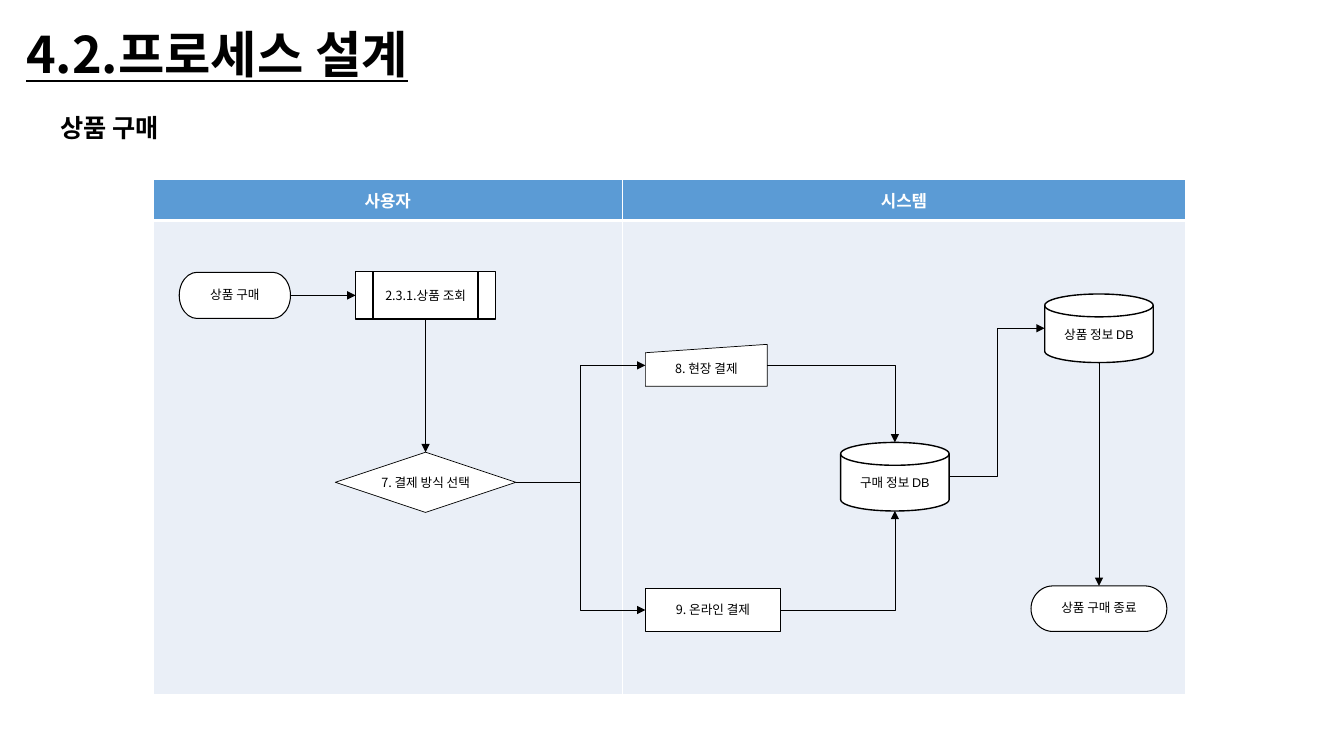
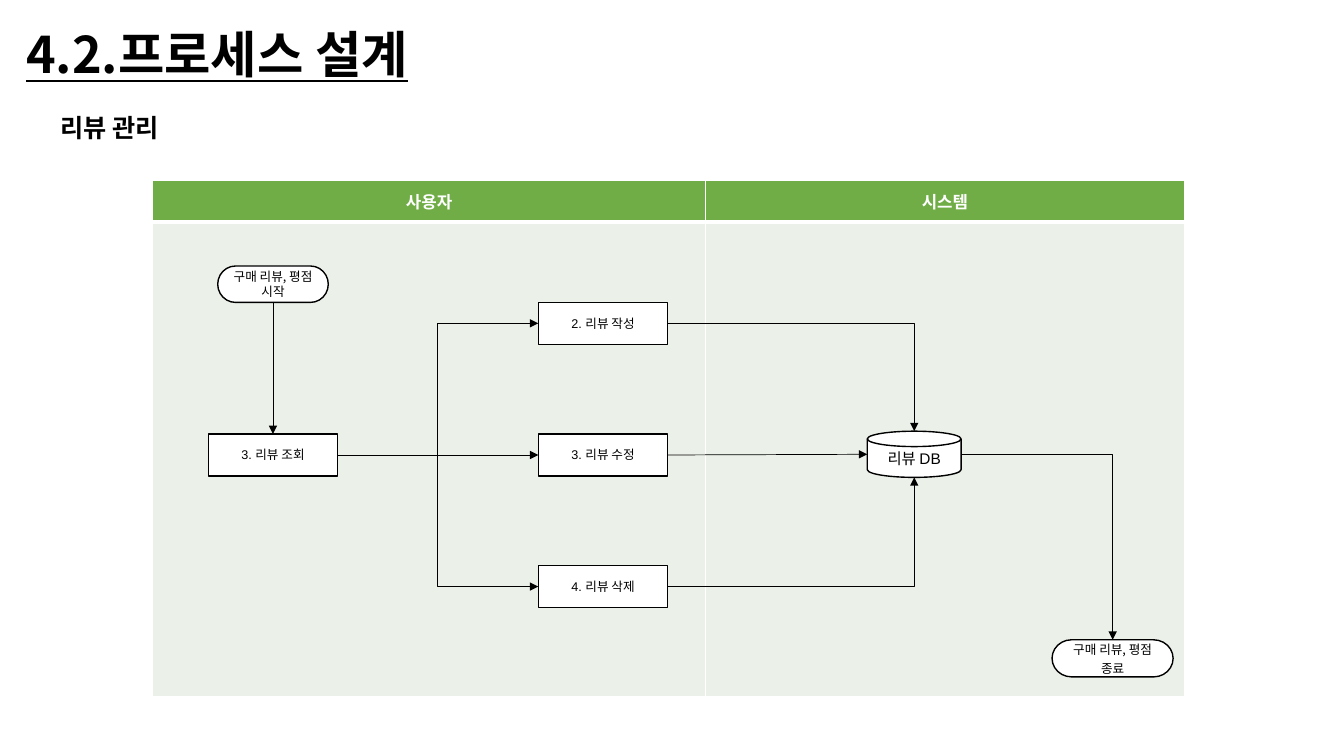
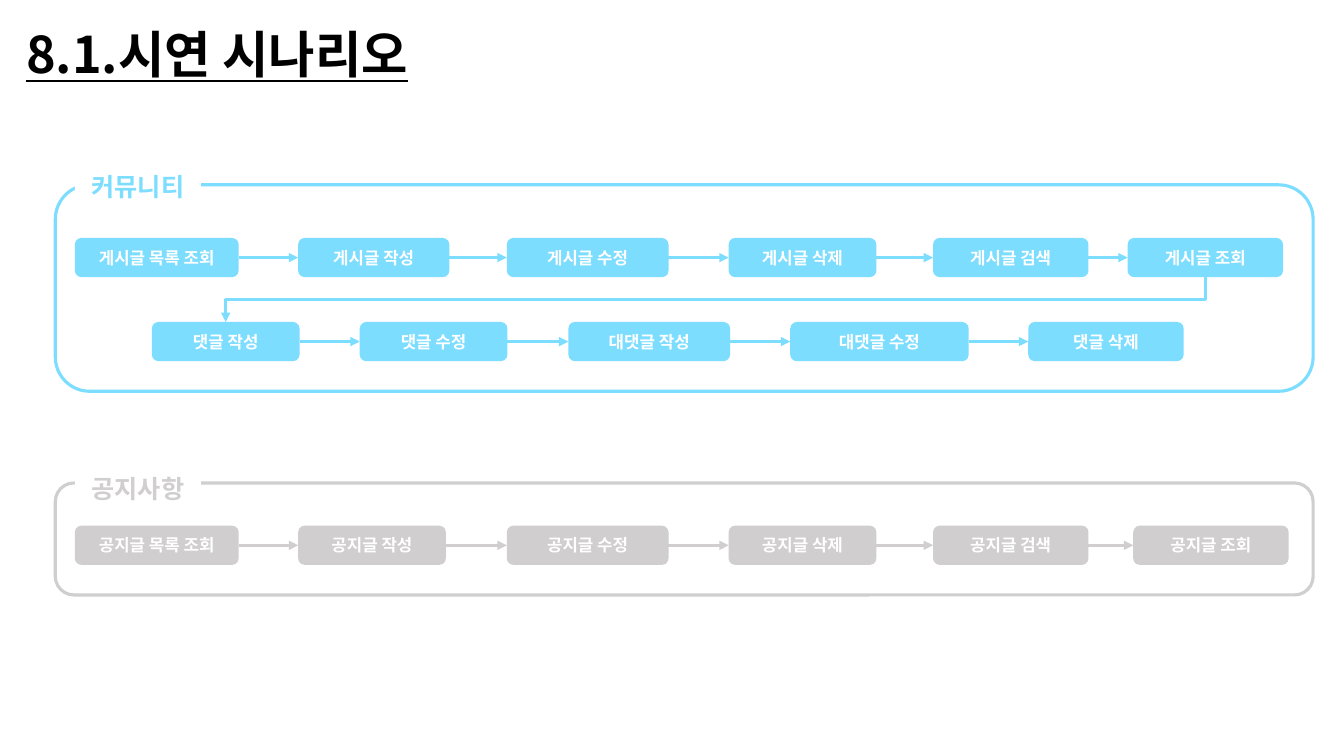
from lxml.etree import SubElement
from pptx import Presentation
from pptx.dml.color import RGBColor
from pptx.enum.shapes import MSO_CONNECTOR as LINE, MSO_SHAPE as SHAPE
from pptx.enum.text import MSO_ANCHOR as ANCHOR, PP_ALIGN as ALIGN
from pptx.oxml.ns import qn
from pptx.util import Pt

COLORS = {
    "ink": "000000", "white": "FFFFFF",
    "blue": "5B9BD5", "blue_tint": "EAEFF7",
    "green": "70AD47", "green_tint": "EBF1E9",
    "sky": "7DDDFF", "gray": "D0CECE",
}
SANS, LATIN = "Noto Sans CJK KR", "Arial"
SITES = {"t": 0, "l": 1, "b": 2, "r": 3}
DISK_SITES = {"t": 1, "l": 2, "b": 3, "r": 4}
STRAIGHT_LIMIT = Pt(2)


def rgb(name):
    """Return the named colour."""
    return RGBColor.from_string(COLORS[name])


def anchor_point(sp, side):
    """Return the middle of one side of a shape."""
    dx, dy = {"t": (1, 0), "l": (0, 1), "b": (1, 2), "r": (2, 1)}[side]
    return sp.left + sp.width * dx // 2, sp.top + sp.height * dy // 2


def site(sp, side):
    """Return the connection site number for one side of a shape."""
    disk = sp.auto_shape_type == SHAPE.FLOWCHART_MAGNETIC_DISK
    return str((DISK_SITES if disk else SITES)[side])


class Deck:
    """Holds the shared style and the current slide."""

    def __init__(self):
        """Start an empty widescreen presentation."""
        self.prs = Presentation()
        self.prs.slide_width, self.prs.slide_height = Pt(960), Pt(540)
        self.shapes = None

    def slide(self, title, subtitle=None):
        """Add a slide with its heading and optional subheading."""
        layout = self.prs.slide_layouts[6]
        self.shapes = self.prs.slides.add_slide(layout).shapes
        self.text(11.5, 13, 397, 51, title, 36, underline=True)
        if subtitle:
            self.text(36, 77, 278, 29, subtitle, 18)

    def style(self, tf, text, size, color="ink", font=SANS, bold=False,
              underline=None, align=ALIGN.CENTER, spacing=None, gap=None):
        """Write text into a frame and format its runs."""
        tf.text = text
        for p in tf.paragraphs:
            p.alignment = align
            if spacing:
                p.line_spacing = spacing
            if gap:
                p.space_before = p.space_after = Pt(gap)
            for r in p.runs:
                r.font.size, r.font.bold = Pt(size), bold
                r.font.underline = underline
                r.font.color.rgb = rgb(color)
                r.font.name = font
                SubElement(r.font._element, qn("a:ea"), typeface=SANS)

    def text(self, x, y, w, h, text, size, underline=None):
        """Add a bold left-aligned text box."""
        sp = self.shapes.add_textbox(Pt(x), Pt(y), Pt(w), Pt(h))
        sp.text_frame.word_wrap = True
        self.style(sp.text_frame, text, size, bold=True,
                   underline=underline, align=ALIGN.LEFT)

    def shape(self, kind, x, y, w, h, fill=None, line=None, width=1):
        """Add a preset shape without shadow."""
        sp = self.shapes.add_shape(kind, Pt(x), Pt(y), Pt(w), Pt(h))
        sp.shadow.inherit = False
        if fill:
            sp.fill.solid()
            sp.fill.fore_color.rgb = rgb(fill)
        else:
            sp.fill.background()
        if line:
            sp.line.color.rgb = rgb(line)
            sp.line.width = Pt(width)
        else:
            sp.line.fill.background()
        return sp

    def node(self, kind, x, y, w, h, text, width=1.0, size=9, wrap=True,
             **style):
        """Add a white flowchart symbol."""
        sp = self.shape(kind, x, y, w, h, "white", "ink", width)
        tf = sp.text_frame
        tf.margin_left = tf.margin_right = Pt(1.5)
        tf.margin_top = tf.margin_bottom = 0
        tf.vertical_anchor, tf.word_wrap = ANCHOR.MIDDLE, wrap
        self.style(tf, text, size, **style)
        return sp

    def database(self, x, y, w, h, text, size=9):
        """Add a database symbol."""
        return self.node(SHAPE.FLOWCHART_MAGNETIC_DISK, x, y, w, h, text,
                         size=size, wrap=False, font=LATIN)

    def lanes(self, x, y, widths, color):
        """Add the table with the user and system lanes."""
        heights = (29.5, 339)
        table = self.shapes.add_table(2, 2, Pt(x), Pt(y), Pt(sum(widths)),
                                      Pt(sum(heights))).table
        for col, w in zip(table.columns, widths):
            col.width = Pt(w)
        for row, h in zip(table.rows, heights):
            row.height = Pt(h)
        for i, row in enumerate(table.rows):
            for cell in row.cells:
                self.borders(cell, top=1 if i == 0 else 3,
                             bottom=3 if i == 0 else 1)
                cell.fill.solid()
                cell.fill.fore_color.rgb = rgb(color + "_tint" if i else color)
        for cell, name in zip(table.rows[0].cells, ("사용자", "시스템")):
            cell.vertical_anchor = ANCHOR.MIDDLE
            self.style(cell.text_frame, name, 12, "white", bold=True)

    def borders(self, cell, top, bottom):
        """Give a cell white borders."""
        tc_pr = cell._tc.get_or_add_tcPr()
        for side, width in zip("LRTB", (1, 1, top, bottom)):
            ln = SubElement(tc_pr, qn("a:ln" + side), w=str(Pt(width)))
            fill = SubElement(ln, qn("a:solidFill"))
            SubElement(fill, qn("a:srgbClr"), val=COLORS["white"])

    def link(self, a, start, b, end, color="ink", width=0.5):
        """Join a side of one shape to a side of another with an arrow."""
        (x1, y1), (x2, y2) = anchor_point(a, start), anchor_point(b, end)
        sideways = start == "r"
        corner = sideways and end in "tb"
        offset = abs(y2 - y1) if sideways else abs(x2 - x1)
        straight = not corner and offset < STRAIGHT_LIMIT
        turned = not sideways and not straight
        if turned:  # a downward elbow is a sideways one rotated by 90 degrees
            cx, cy = (x1 + x2) // 2, (y1 + y2) // 2
            dx, dy = (x1 - x2) // 2, (y2 - y1) // 2
            x1, y1, x2, y2 = cx - dy, cy - dx, cx + dy, cy + dx
        c = self.shapes.add_connector(
            LINE.STRAIGHT if straight else LINE.ELBOW, x1, y1, x2, y2)
        c.line.color.rgb = rgb(color)
        c.line.width = Pt(width)
        sp_pr = c._element.spPr
        if corner:
            sp_pr.find(qn("a:prstGeom")).set("prst", "bentConnector2")
        if turned:
            sp_pr.find(qn("a:xfrm")).set("rot", str(90 * 60000))
        SubElement(sp_pr.find(qn("a:ln")), qn("a:tailEnd"), type="triangle")
        SubElement(sp_pr, qn("a:effectLst"))
        glue = c._element.nvCxnSpPr.cNvCxnSpPr
        for tag, sp, side in (("a:stCxn", a, start), ("a:endCxn", b, end)):
            SubElement(glue, qn(tag), id=str(sp.shape_id), idx=site(sp, side))

    def frame(self, y, h, label_y, label, color):
        """Add a rounded outline with a label set into its top edge."""
        self.shape(SHAPE.ROUNDED_RECTANGLE, 39.5, y, 898.5, h,
                   line=color, width=2.25)
        sp = self.shape(SHAPE.RECTANGLE, 53.5, label_y, 90, 29, fill="white")
        self.style(sp.text_frame, label, 18, color, bold=True)

    def steps(self, y, color, items):
        """Add a row of boxes joined by arrows and return the boxes."""
        boxes = []
        for x, w, text in items:
            sp = self.shape(SHAPE.ROUNDED_RECTANGLE, x, y, w, 28, fill=color)
            sp.text_frame.vertical_anchor = ANCHOR.MIDDLE
            self.style(sp.text_frame, text, 12, "white", bold=True)
            boxes.append(sp)
        for a, b in zip(boxes, boxes[1:]):
            self.link(a, "r", b, "l", color, 2.25)
        return boxes


def purchase_slide(deck):
    """Build the product purchase process."""
    deck.slide("4.2.프로세스 설계", "상품 구매")
    deck.lanes(109.5, 128, (335, 402.5), "blue")
    start = deck.node(SHAPE.FLOWCHART_TERMINATOR, 128, 194.5, 79.5, 33,
                      "상품 구매", 0.75, font=LATIN, spacing=0.9)
    lookup = deck.node(SHAPE.FLOWCHART_PREDEFINED_PROCESS, 254, 194, 100, 34,
                       "2.3.1.상품 조회")
    choice = deck.node(SHAPE.DIAMOND, 239.5, 323, 129, 43,
                       "7. 결제 방식 선택", 0.5, wrap=False)
    on_site = deck.node(SHAPE.FLOWCHART_MANUAL_INPUT, 461, 246, 87, 30,
                        "8. 현장 결제", 0.5, spacing=0.9)
    online = deck.node(SHAPE.RECTANGLE, 461, 420.5, 96.5, 30.5,
                       "9. 온라인 결제", 0.5, spacing=0.9)
    finish = deck.node(SHAPE.FLOWCHART_TERMINATOR, 736.5, 418.5, 97, 32.5,
                       "상품 구매 종료", 0.75, font=LATIN, spacing=0.9)
    orders = deck.database(600.5, 316, 77.5, 49, "구매 정보 DB")
    products = deck.database(746.25, 210, 77.5, 49, "상품 정보 DB")
    deck.link(start, "r", lookup, "l")
    deck.link(lookup, "b", choice, "t")
    for payment, side in ((on_site, "t"), (online, "b")):
        deck.link(choice, "r", payment, "l")
        deck.link(payment, "r", orders, side)
    deck.link(orders, "r", products, "l")
    deck.link(products, "b", finish, "t")


def review_slide(deck):
    """Build the review management process."""
    deck.slide("4.2.프로세스 설계", "리뷰 관리")
    deck.lanes(109, 129, (395, 342), "green")
    reviews = deck.database(619.5, 308, 67, 33, "리뷰 DB", 11)
    start = deck.node(SHAPE.FLOWCHART_TERMINATOR, 155.5, 190, 79, 26,
                      "구매 리뷰, 평점 시작")
    lookup = deck.node(SHAPE.RECTANGLE, 149, 310, 92, 30, "3. 리뷰 조회",
                       font=LATIN)
    finish = deck.node(SHAPE.FLOWCHART_TERMINATOR, 751.5, 457, 86.5, 26.5,
                       "구매 리뷰, 평점\n종료", spacing=1.1, gap=0.9)
    deck.link(start, "b", lookup, "t")
    actions = (("2. 리뷰 작성", "t"), ("3. 리뷰 수정", "l"),
               ("4. 리뷰 삭제", "b"))
    for i, (text, side) in enumerate(actions):
        action = deck.node(SHAPE.RECTANGLE, 384.5, 216 + 94 * i, 92.5, 30,
                           text, font=LATIN)
        deck.link(lookup, "r", action, "l")
        deck.link(action, "r", reviews, side)
    deck.link(reviews, "r", finish, "t", width=0.75)


def scenario_slide(deck):
    """Build the demonstration scenario."""
    deck.slide("8.1.시연 시나리오")
    deck.frame(132, 147.5, 119, "커뮤니티", "sky")
    posts = deck.steps(170, "sky", (
        (53.5, 117, "게시글 목록 조회"), (213, 108, "게시글 작성"),
        (362, 115.5, "게시글 수정"), (520.5, 105.5, "게시글 삭제"),
        (666.5, 111, "게시글 검색"), (805.5, 111, "게시글 조회")))
    comments = deck.steps(230, "sky", (
        (108.5, 105.5, "댓글 작성"), (257, 105.5, "댓글 수정"),
        (406, 115.5, "대댓글 작성"), (564.5, 127.5, "대댓글 수정"),
        (734.5, 111, "댓글 삭제")))
    deck.link(posts[-1], "b", comments[0], "t", "sky", 2.25)
    deck.frame(345, 80, 334, "공지사항", "gray")
    deck.steps(375.5, "gray", (
        (53.5, 117, "공지글 목록 조회"), (213, 105.5, "공지글 작성"),
        (362, 115.5, "공지글 수정"), (520.5, 105.5, "공지글 삭제"),
        (666.5, 111, "공지글 검색"), (809.5, 111, "공지글 조회")))


deck = Deck()
purchase_slide(deck)
review_slide(deck)
scenario_slide(deck)
deck.prs.save("out.pptx")
